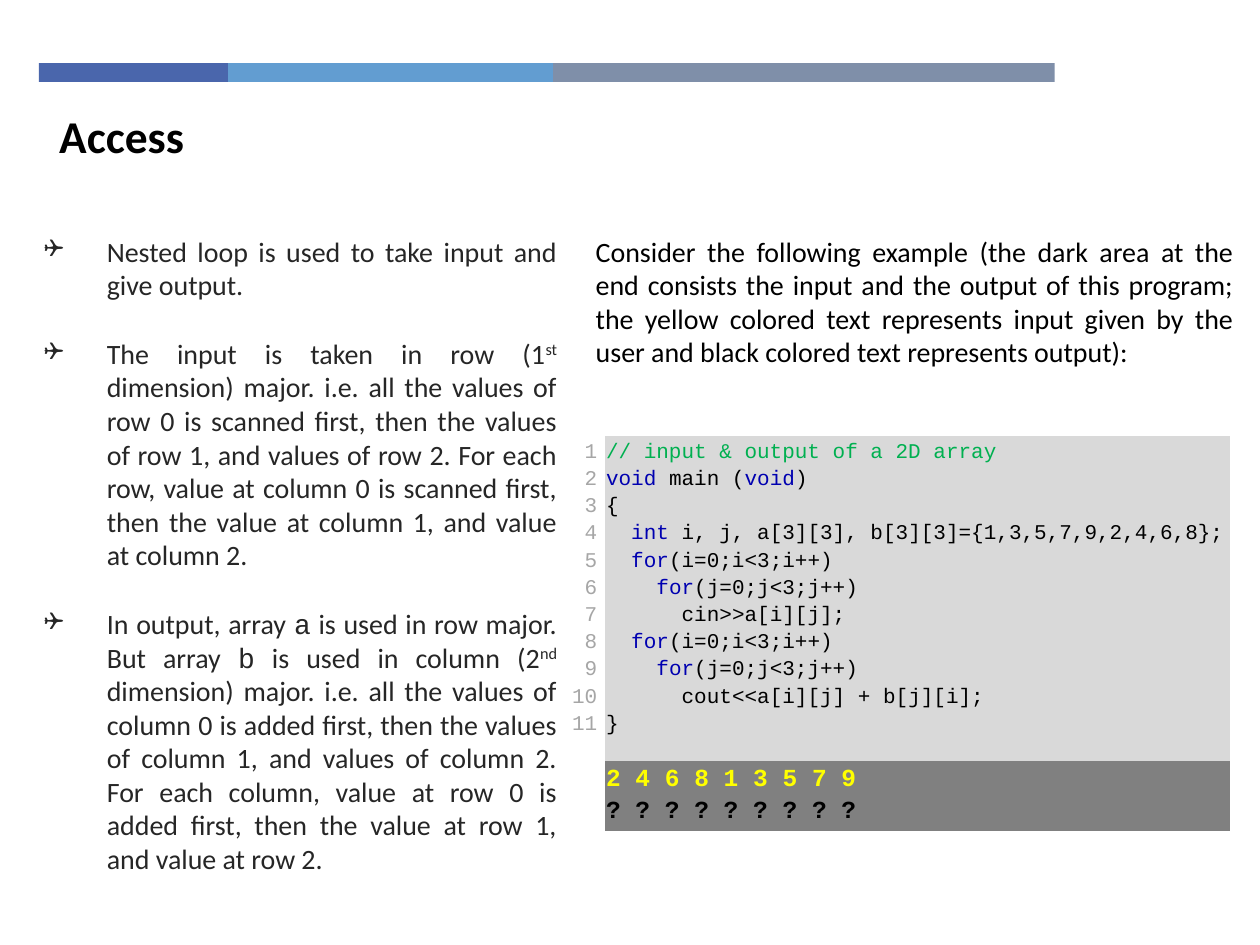
from dataclasses import dataclass

from lxml import etree
from pptx import Presentation
from pptx import util as u
from pptx.dml.color import RGBColor
from pptx.enum import shapes, text
from pptx.oxml import ns

SANS = "Calibri"
MONO = "Courier New"
KEYWORD = "0000B0"
BLACK = "000000"
BODY = "262626"


@dataclass
class Span:
    text: str
    color: str = BLACK
    font: str = SANS
    size: int = 16
    bold: bool = False
    raised: bool = False


@dataclass
class Band:
    left: float
    width: float
    color: str


@dataclass
class CodeLine:
    source: str
    depth: int = 0


BANDS = [
    Band(0.31, 1.5, "4A66AC"),
    Band(1.81, 2.58, "629DD1"),
    Band(4.39, 3.98, "7F8FA9"),
]

BULLETS = [
    [Span("Nested loop is used to take input and give output.", BODY)],
    [
        Span("The input is taken in row (1", BODY),
        Span("st", BODY, raised=True),
        Span(" dimension) major. i.e. all the values of row 0 is scanned first, then the values "
             "of row 1, and values of row 2. For each row, value at column 0 is scanned first, "
             "then the value at column 1, and value at column 2.", BODY),
    ],
    [
        Span("In output, array ", BODY),
        Span("a", BODY, MONO),
        Span(" is used in row major. But array ", BODY),
        Span("b", BODY, MONO),
        Span(" is used in column (2", BODY),
        Span("nd", BODY, raised=True),
        Span(" dimension) major. i.e. all the values of column 0 is added first, then the values "
             "of column 1, and values of column 2. For each column, value at row 0 is added first, "
             "then the value at row 1, and value at row 2.", BODY),
    ],
]

INTRO = ("Consider the following example (the dark area at the end consists the input and the "
         "output of this program; the yellow colored text represents input given by the user "
         "and black colored text represents output):")

COMMENT = "// input & output of a 2D array"
CODE = [
    CodeLine("|void| main (|void|)"),
    CodeLine("{"),
    CodeLine("|int| i, j, a[3][3], b[3][3]={1,3,5,7,9,2,4,6,8};", 1),
    CodeLine("|for|(i=0;i<3;i++)", 1),
    CodeLine("|for|(j=0;j<3;j++)", 2),
    CodeLine("cin>>a[i][j];", 3),
    CodeLine("|for|(i=0;i<3;i++)", 1),
    CodeLine("|for|(j=0;j<3;j++)", 2),
    CodeLine("cout<<a[i][j] + b[j][i];", 3),
    CodeLine("}"),
]


def rgb(color: str) -> RGBColor:
    return RGBColor.from_string(color)


def apply(target, values: dict) -> None:
    for name, value in values.items():
        setattr(target, name, value)


def write(frame, paragraphs: list, **formats) -> list:
    for index, spans in enumerate(paragraphs):
        paragraph = frame.paragraphs[0] if index == 0 else frame.add_paragraph()
        apply(paragraph, formats)
        for span in spans:
            run = paragraph.add_run()
            run.text = span.text
            apply(run.font, {"name": span.font, "size": u.Pt(span.size), "bold": span.bold})
            run.font.color.rgb = rgb(span.color)
            if span.raised:
                run.font._element.set("baseline", "30000")
    return list(frame.paragraphs)


def place(shape, left: float, top: float, width: float, height: float) -> None:
    apply(shape, {"left": u.Inches(left), "top": u.Inches(top),
                  "width": u.Inches(width), "height": u.Inches(height)})


def add_text(slide, left: float, top: float, width: float, height: float):
    frame = slide.shapes.add_textbox(*map(u.Inches, (left, top, width, height))).text_frame
    frame.word_wrap = True
    return frame


def add_bullet(paragraph) -> None:
    properties = paragraph._p.get_or_add_pPr()
    apply_indent(properties, 0.5, -0.5)
    for tag, name, value in (("a:buSzPct", "val", "90000"),
                             ("a:buFont", "typeface", "Wingdings"),
                             ("a:buChar", "char", "\u2751")):
        etree.SubElement(properties, ns.qn(tag)).set(name, value)


def apply_indent(properties, margin: float, indent: float) -> None:
    properties.set("marL", str(u.Inches(margin)))
    properties.set("indent", str(u.Inches(indent)))


def code_spans(line: CodeLine) -> list:
    parts = enumerate(line.source.split("|"))
    return [Span(part, KEYWORD if index % 2 else BLACK, MONO, 12) for index, part in parts if part]


def add_bands(slide) -> None:
    for band in BANDS:
        shape = slide.shapes.add_shape(shapes.MSO_SHAPE.RECTANGLE, u.Inches(band.left),
                                       u.Inches(0.5), u.Inches(band.width), u.Inches(0.15))
        shape.shadow.inherit = False
        shape.fill.solid()
        shape.fill.fore_color.rgb = rgb(band.color)
        shape.line.fill.background()


def add_program(slide) -> None:
    frame = slide.shapes.add_table(2, 2, *map(u.Inches, (4.52, 3.46, 5.24, 3.12)))
    table = frame.table
    apply(table, {"first_row": False, "horz_banding": False})
    style = table._tbl.tblPr.find(ns.qn("a:tableStyleId"))
    style.text = "{2D5ABB26-0587-4C30-8999-92F81FD0307C}"
    for column, width in zip(table.columns, (0.28, 4.96)):
        column.width = u.Inches(width)
    for row, height in zip(table.rows, (2.58, 0.54)):
        row.height = u.Inches(height)
    for cell in table.iter_cells():
        apply(cell, {f"margin_{side}": u.Inches(0.01)
                     for side in ("left", "right", "top", "bottom")})
        cell.fill.background()
    numbers, code, console = table.cell(0, 0), table.cell(0, 1), table.cell(1, 1)
    numbers.margin_right = u.Inches(0.06)
    for cell, color in ((code, "D9D9D9"), (console, "808080")):
        cell.fill.solid()
        cell.fill.fore_color.rgb = rgb(color)

    write(numbers.text_frame,
          [[Span(str(number), "A6A6A6", MONO, 12)] for number in range(1, len(CODE) + 2)],
          alignment=text.PP_ALIGN.RIGHT, line_spacing=1.15)
    comment = [Span(COMMENT, "00B050", MONO, 12)]
    paragraphs = write(code.text_frame, [comment] + [code_spans(line) for line in CODE],
                       line_spacing=1.15)
    for paragraph, line in zip(paragraphs[1:], CODE):
        apply_indent(paragraph._p.get_or_add_pPr(), 0.2 * line.depth, 0)
    write(console.text_frame,
          [[Span("2 4 6 8 1 3 5 7 9", "FFFF00", MONO, 14, True)],
           [Span("? ? ? ? ? ? ? ? ?", BLACK, MONO, 14, True)]], line_spacing=1.15)


def main() -> None:
    presentation = Presentation()
    apply(presentation, {"slide_width": u.Inches(10), "slide_height": u.Inches(7.5)})
    slide = presentation.slides.add_slide(presentation.slide_layouts[5])
    add_bands(slide)

    title = slide.shapes.title
    place(title, 0.37, 0.8, 7.16, 0.54)
    apply(title.text_frame, {"vertical_anchor": text.MSO_ANCHOR.MIDDLE,
                             "auto_size": text.MSO_AUTO_SIZE.NONE})
    write(title.text_frame, [[Span("Access", size=26, bold=True)]],
          alignment=text.PP_ALIGN.LEFT)

    notes = add_text(slide, 0.25, 1.81, 4.27, 5.43)
    for paragraph in write(notes, BULLETS, alignment=text.PP_ALIGN.JUSTIFY,
                           space_before=u.Pt(20)):
        add_bullet(paragraph)

    add_program(slide)
    write(add_text(slide, 4.63, 1.81, 5.26, 1.18), [[Span(INTRO)]],
          alignment=text.PP_ALIGN.JUSTIFY)
    presentation.save("out.pptx")


main()
